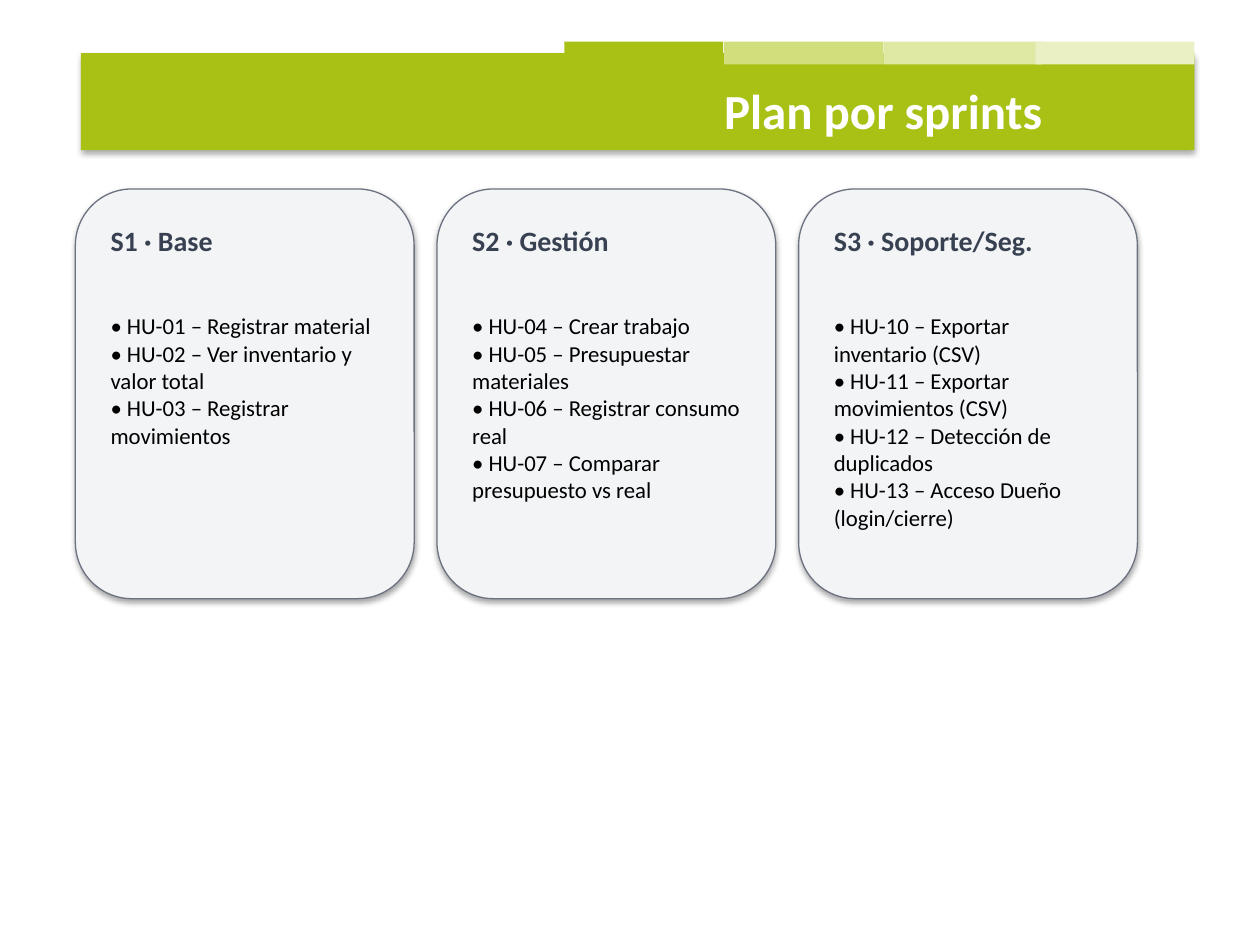
from dataclasses import dataclass

import pptx
import pptx.dml.color
import pptx.enum.shapes
import pptx.enum.text
import pptx.util

Cm = pptx.util.Cm
Pt = pptx.util.Pt
Shape = pptx.enum.shapes.MSO_SHAPE
AutoSize = pptx.enum.text.MSO_AUTO_SIZE


@dataclass(frozen=True)
class Theme:
    font: str = "Calibri"
    banner: str = "A9C114"
    tabs: tuple = ("A9C114", "D2DE7B", "DFE9A4", "EAF0C4")
    title: str = "FFFFFF"
    card: str = "F3F4F6"
    border: str = "6B7280"
    heading: str = "374151"
    body: str = "000000"
    title_size: int = 28
    heading_size: int = 16
    body_size: int = 13


THEME = Theme()

SPRINTS = [
    ("S1 · Base", 3.05, [
        "HU-01 – Registrar material",
        "HU-02 – Ver inventario y valor total",
        "HU-03 – Registrar movimientos",
    ]),
    ("S2 · Gestión", 4.14, [
        "HU-04 – Crear trabajo",
        "HU-05 – Presupuestar materiales",
        "HU-06 – Registrar consumo real",
        "HU-07 – Comparar presupuesto vs real",
    ]),
    ("S3 · Soporte/Seg.", 4.7, [
        "HU-10 – Exportar inventario (CSV)",
        "HU-11 – Exportar movimientos (CSV)",
        "HU-12 – Detección de duplicados",
        "HU-13 – Acceso Dueño (login/cierre)",
    ]),
]


def rgb(color):
    return pptx.dml.color.RGBColor.from_string(color)


def add_panel(page, kind, left, top, width, height, fill, border=None, shadow=True):
    panel = page.shapes.add_shape(kind, Cm(left), Cm(top), Cm(width), Cm(height))
    panel.fill.solid()
    panel.fill.fore_color.rgb = rgb(fill)
    if border:
        panel.line.color.rgb = rgb(border)
        panel.line.width = Pt(0.75)
    else:
        panel.line.fill.background()
    if not shadow:
        panel.shadow.inherit = False
    return panel


def add_text(page, left, top, width, height, lines, size, color,
             bold=False, auto_size=AutoSize.SHAPE_TO_FIT_TEXT):
    box = page.shapes.add_textbox(Cm(left), Cm(top), Cm(width), Cm(height))
    frame = box.text_frame
    frame.word_wrap = True
    frame.auto_size = auto_size
    frame.text = "\n".join(lines)
    for para in frame.paragraphs:
        para.font.name = THEME.font
        para.font.size = Pt(size)
        para.font.bold = bold
        para.font.color.rgb = rgb(color)


def add_banner(page, left, top, width, height, title):
    add_panel(page, Shape.RECTANGLE, left, top, width, height, THEME.banner)
    for offset, color in zip((9.75, 12.97, 16.18, 19.25), THEME.tabs):
        add_panel(page, Shape.RECTANGLE, left + offset, top - 0.23, 3.2, 0.46,
                  color, shadow=False)
    add_text(page, left + 12.72, top + 0.43, 9.02, 1.02, [title],
             THEME.title_size, THEME.title, bold=True, auto_size=AutoSize.NONE)


def add_sprint_card(page, left, top, width, height, heading, list_height, stories):
    inset = 0.46
    text_width = width - 2 * inset
    add_panel(page, Shape.ROUNDED_RECTANGLE, left, top, width, height,
              THEME.card, THEME.border)
    add_text(page, left + inset, top + 0.58, text_width, 0.94, [heading],
             THEME.heading_size, THEME.heading, bold=True)
    add_text(page, left + inset, top + 2.36, text_width, list_height,
             [f"• {story}" for story in stories], THEME.body_size, THEME.body)


def add_sprint_row(page, left, top, width, height, sprints):
    gap = 0.46
    card_width = (width - gap * (len(sprints) - 1)) / len(sprints)
    for index, sprint in enumerate(sprints):
        add_sprint_card(page, left + index * (card_width + gap), top,
                        card_width, height, *sprint)


def main():
    deck = pptx.Presentation()
    deck.slide_width = Cm(25.4)
    deck.slide_height = Cm(19.05)
    page = deck.slides.add_slide(deck.slide_layouts[6])
    add_banner(page, 1.63, 1.07, 22.45, 1.96, "Plan por sprints")
    add_sprint_row(page, 1.52, 3.81, 21.41, 8.26, SPRINTS)
    deck.save("out.pptx")


if __name__ == "__main__":
    main()
